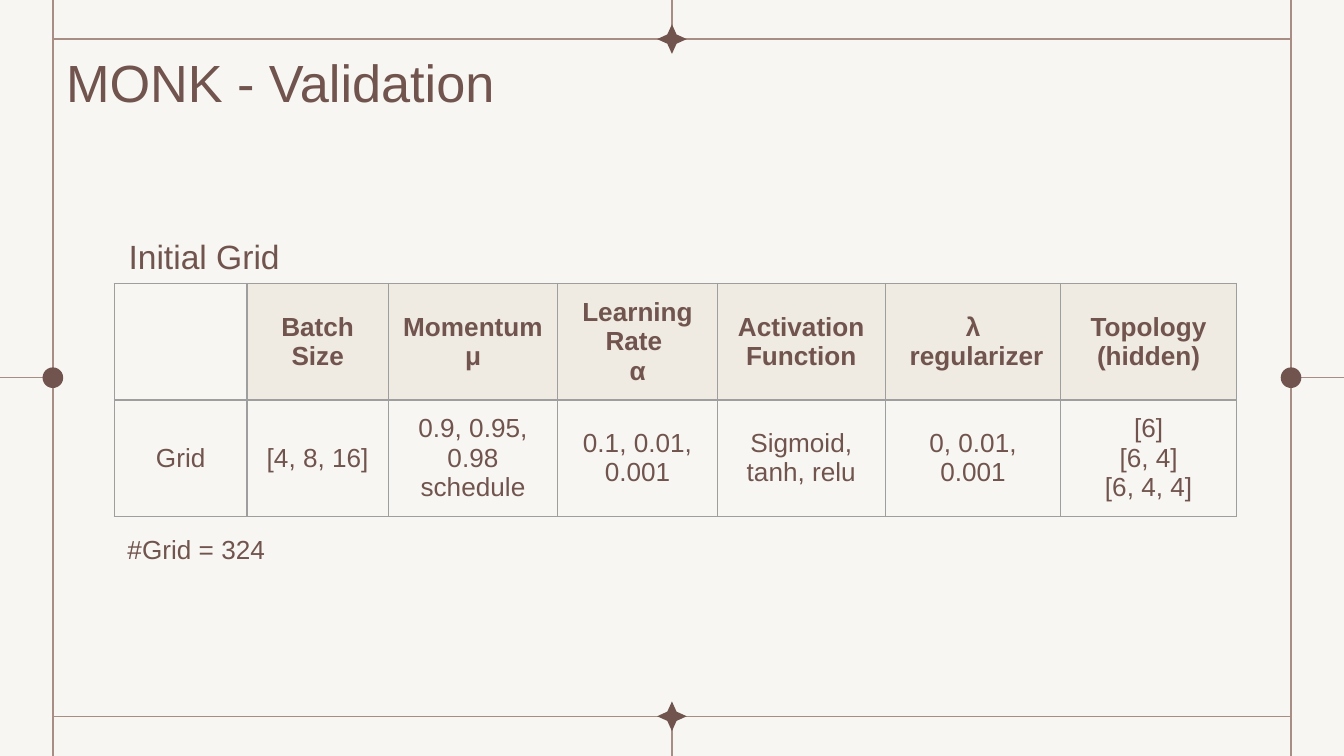
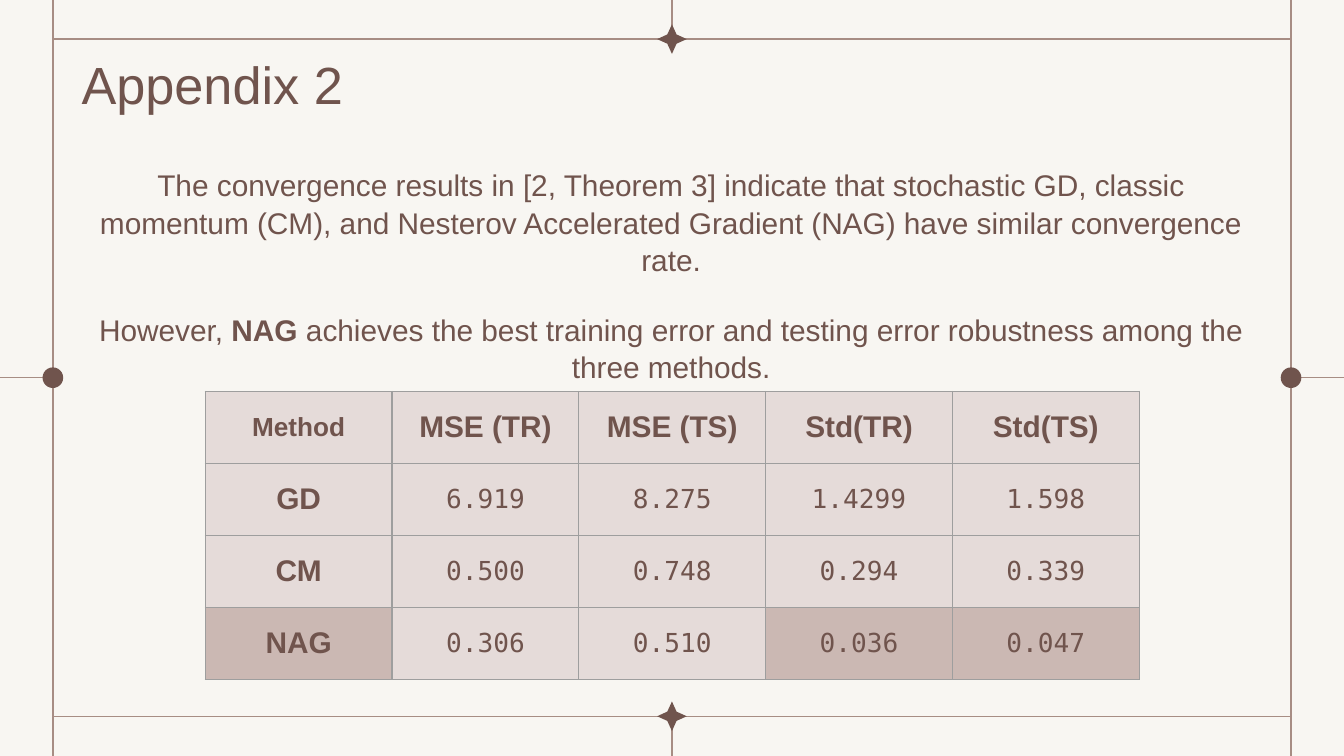
"""Builds two slides on MONK validation and optimiser convergence."""
import dataclasses

import lxml.etree
import pptx
import pptx.dml.color
import pptx.enum.shapes
import pptx.enum.text
import pptx.oxml.ns
import pptx.util

Cm = pptx.util.Cm
Pt = pptx.util.Pt
RGB = pptx.dml.color.RGBColor.from_string
ALIGN = pptx.enum.text.PP_ALIGN
ANCHOR = pptx.enum.text.MSO_ANCHOR
SHAPE = pptx.enum.shapes.MSO_SHAPE
qn = pptx.oxml.ns.qn


@dataclasses.dataclass(frozen=True)
class Theme:
    paper: str = "F8F6F2"
    ink: str = "70544D"
    rule: str = "A78D84"
    border: str = "9E9E9E"
    cream: str = "EFEAE2"
    blush: str = "E5DBD9"
    clay: str = "CBB8B3"
    font: str = "Arial"
    mono: str = "DejaVu Sans Mono"
    title: int = 28
    subtitle: int = 18
    body: int = 16
    small: int = 14
    hairline: float = 0.75


theme = Theme()
cell_styles = {
    "plain": (theme.small, theme.font, False, None),
    "head": (theme.small, theme.font, True, theme.cream),
    "corner": (theme.small, theme.font, True, theme.blush),
    "label": (theme.body, theme.font, True, theme.blush),
    "best label": (theme.body, theme.font, True, theme.clay),
    "value": (theme.small, theme.mono, False, theme.blush),
    "best value": (theme.small, theme.mono, False, theme.clay),
}


def fill_text(frame, text, size, align, font=theme.font, bold=False):
    frame.word_wrap = True
    frame.text = text
    for para in frame.paragraphs:
        para.alignment = align
        para.font.size = Pt(size)
        para.font.name = font
        para.font.bold = bold
        para.font.color.rgb = RGB(theme.ink)
    return frame


def add_grid(page, left, top, widths, row_height, rows, styles):
    frame = page.shapes.add_table(
        len(rows), len(widths), Cm(left), Cm(top), Cm(sum(widths)), Cm(row_height * len(rows)))
    table = frame.table
    table.first_row = table.horz_banding = False
    for column, width in zip(table.columns, widths):
        column.width = Cm(width)
    for r, (texts, names) in enumerate(zip(rows, styles)):
        table.rows[r].height = Cm(row_height)
        for c, (text, name) in enumerate(zip(texts, names)):
            cell = table.cell(r, c)
            size, font, bold, fill = cell_styles[name]
            fill_text(cell.text_frame, text, size, ALIGN.CENTER, font, bold)
            cell.vertical_anchor = ANCHOR.MIDDLE
            properties = cell._tc.get_or_add_tcPr()
            for side in ("a:lnL", "a:lnR", "a:lnT", "a:lnB"):
                line = lxml.etree.SubElement(properties, qn(side), w=str(Pt(theme.hairline)))
                solid = lxml.etree.SubElement(line, qn("a:solidFill"))
                lxml.etree.SubElement(solid, qn("a:srgbClr"), val=theme.border)
            if fill:
                cell.fill.solid()
                cell.fill.fore_color.rgb = RGB(fill)
            else:
                cell.fill.background()


deck = pptx.Presentation()
deck.slide_width, deck.slide_height = Cm(25.4), Cm(14.29)
width, height = 25.4, 14.29
left, right, top, bottom = 1, 24.4, 0.74, 13.54
center, middle = width / 2, 7.14
star, dot = 0.56, 0.39

frame_lines = [
    (left, 0, left, height), (right, 0, right, height),
    (left, top, right, top), (left, bottom, right, bottom),
    (center, 0, center, top), (center, bottom, center, height),
    (0, middle, left, middle), (right, middle, width, middle),
]
ornaments = [
    (SHAPE.STAR_4_POINT, center, top, star), (SHAPE.STAR_4_POINT, center, bottom, star),
    (SHAPE.OVAL, left, middle, dot), (SHAPE.OVAL, right, middle, dot),
]
titles = [
    ("MONK - Validation", (1, 0.79, 15.27, 1.5), ALIGN.LEFT),
    ("Appendix 2", (1.04, 0.86, 5.94, 1.45), ALIGN.CENTER),
]

pages = []
for title, place, align in titles:
    page = deck.slides.add_slide(deck.slide_layouts[6])
    pages.append(page)
    page.background.fill.solid()
    page.background.fill.fore_color.rgb = RGB(theme.paper)
    for ends in frame_lines:
        line = page.shapes.add_connector(
            pptx.enum.shapes.MSO_CONNECTOR.STRAIGHT, *[Cm(value) for value in ends])
        line.line.color.rgb = RGB(theme.rule)
        line.line.width = Pt(theme.hairline)
        lxml.etree.SubElement(line._element.spPr, qn("a:effectLst"))
    for kind, x, y, size in ornaments:
        ornament = page.shapes.add_shape(
            kind, Cm(x - size / 2), Cm(y - size / 2), Cm(size), Cm(size))
        ornament.shadow.inherit = False
        ornament.fill.solid()
        ornament.fill.fore_color.rgb = RGB(theme.ink)
        ornament.line.fill.background()
        if kind == SHAPE.STAR_4_POINT:
            ornament.adjustments[0] = 0.22
    box = page.shapes.add_textbox(*[Cm(value) for value in place])
    fill_text(box.text_frame, title, theme.title, align)
    box.text_frame.vertical_anchor = ANCHOR.MIDDLE

validation, appendix = pages

add_grid(
    validation, 2.16, 5.36, [2.51, 2.67, 3.2, 3.02, 3.17, 3.32, 3.32], 2.2,
    [
        ["", "Batch\nSize", "Momentum\nμ", "Learning\nRate \nα", "Activation\nFunction",
         "λ\n regularizer", "Topology\n(hidden)"],
        ["Grid", "[4, 8, 16]", "0.9, 0.95, 0.98\nschedule", "0.1, 0.01, 0.001",
         "Sigmoid, tanh, relu", "0, 0.01, 0.001", "[6]\n[6, 4]\n[6, 4, 4]"],
    ],
    [["plain"] + ["head"] * 6, ["plain"] * 7])

captions = [
    ("Initial Grid", (2.18, 4.34, 4.9, 1.02), theme.subtitle),
    ("#Grid = 324", (2.16, 9.95, 4.42, 0.86), theme.small),
]
for text, place, size in captions:
    box = validation.shapes.add_textbox(*[Cm(value) for value in place])
    fill_text(box.text_frame, text, size, ALIGN.LEFT)

box = appendix.shapes.add_textbox(Cm(1.37), Cm(3), Cm(22.63), Cm(3.58))
summary = fill_text(
    box.text_frame,
    "The convergence results in [2, Theorem 3] indicate that stochastic GD, classic momentum "
    "(CM), and Nesterov Accelerated Gradient (NAG) have similar convergence rate.\nHowever, ",
    theme.body, ALIGN.CENTER)
for para in summary.paragraphs:
    para.line_spacing = 1.05
para.space_before = Pt(17)
span = para.add_run()
span.text = "NAG "
span.font.bold = True
para.add_run().text = (
    "achieves the best training error and testing error robustness among the three methods.")

add_grid(
    appendix, 3.88, 7.4, [3.53] * 5, 1.36,
    [
        ["Method", "MSE (TR)", "MSE (TS)", "Std(TR)", "Std(TS)"],
        ["GD", "6.919", "8.275", "1.4299", "1.598"],
        ["CM", "0.500", "0.748", "0.294", "0.339"],
        ["NAG", "0.306", "0.510", "0.036", "0.047"],
    ],
    [
        ["corner"] + ["label"] * 4,
        ["label"] + ["value"] * 4,
        ["label"] + ["value"] * 4,
        ["best label"] + ["value"] * 2 + ["best value"] * 2,
    ])

deck.save("out.pptx")
